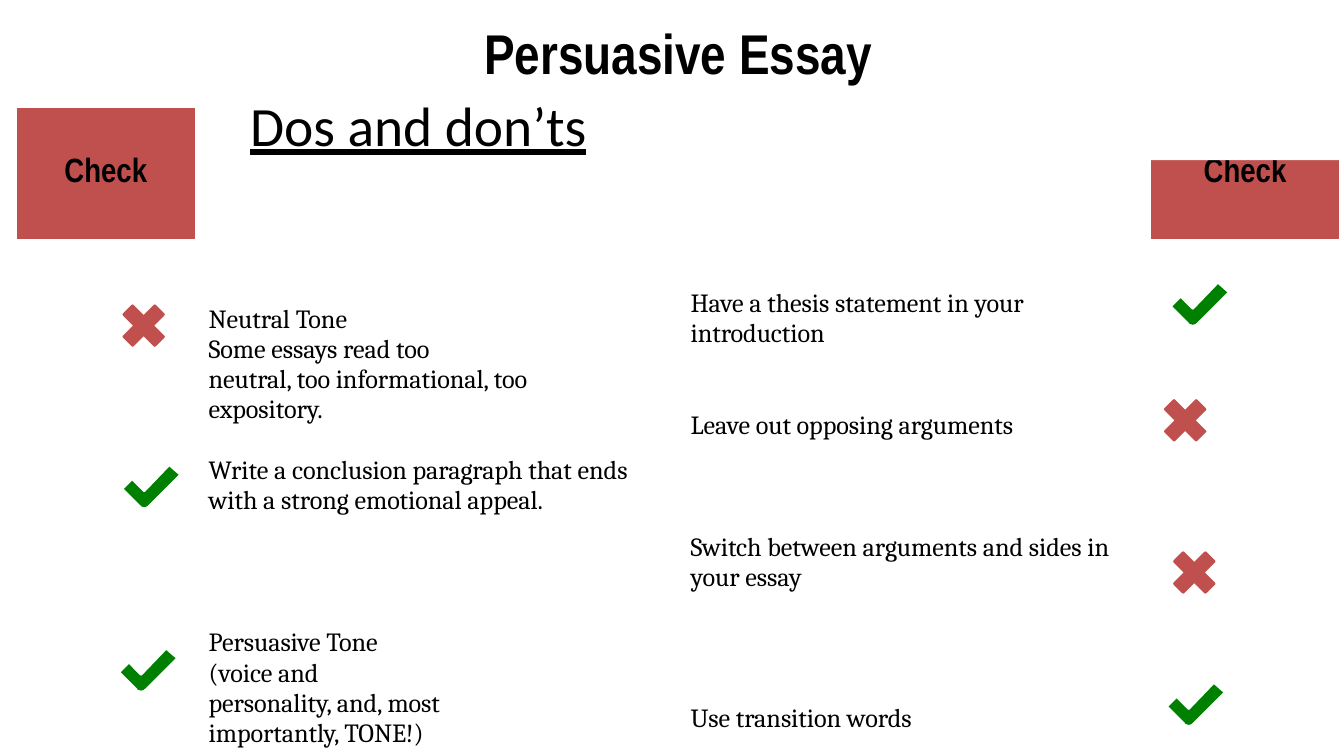
import pptx
import pptx.dml.color
import pptx.enum.text
import pptx.util
import lxml.etree

RED, GREEN, WHITE, BLACK = "C0504D", "008000", "FFFFFF", "000000"
ALIGN = pptx.enum.text.PP_ALIGN
MIDDLE = pptx.enum.text.MSO_ANCHOR.MIDDLE

# Outlines in thousandths of an inch
CHECK = [(450, 0), (210, 250), (200, 253), (190, 250), (80, 140), (0, 220),
         (160, 380), (180, 395), (200, 400), (220, 395), (240, 380), (540, 80)]
CHECK_SHADE = [(510, 60), (190, 370), (180, 383), (160, 390),
               (200, 400), (220, 395), (240, 380), (540, 80)]
CROSS_ARM = [(0, -105), (100, -205), (110, -210), (120, -205),
             (205, -120), (210, -110), (205, -100)]


def cross_outline():
    """Turn one arm around the centre in four quarter turns."""
    arm, outline = CROSS_ARM, []
    for _ in range(4):
        outline += arm
        arm = [(-y, x) for x, y in arm]
    return outline


def color(code):
    return pptx.dml.color.RGBColor.from_string(code)


class EssaySlide:
    """Holds the style and the page; positions are percentages of the page."""

    heading_font, body_font, title_font = "Arial Narrow", "Cambria", "Calibri"
    body_size, line_height = 18.67, 21.9
    cell_margin = 9.36

    def __init__(self, deck):
        self.width, self.height = deck.slide_width, deck.slide_height
        self.page = deck.slides.add_slide(deck.slide_layouts[5])

    def across(self, share):
        return round(self.width * share / 100)

    def down(self, share):
        return round(self.height * share / 100)

    def style(self, para, font, size, bold=False, underline=False):
        for span in para.runs:
            span.font.name = font
            span.font.size = pptx.util.Pt(size)
            span.font.bold = bold
            span.font.underline = underline
            span.font.color.rgb = color(BLACK)

    def title(self, text, left, top, width, height):
        box = self.page.shapes.title
        box.left, box.top = self.across(left), self.down(top)
        box.width, box.height = self.across(width), self.down(height)
        box.fill.solid()
        box.fill.fore_color.rgb = color(WHITE)
        frame = box.text_frame
        frame.text = text
        frame.word_wrap = True
        frame.auto_size = pptx.enum.text.MSO_AUTO_SIZE.NONE
        frame.vertical_anchor = MIDDLE
        para = frame.paragraphs[0]
        para.alignment = ALIGN.LEFT
        para.line_spacing = 0.9
        self.style(para, self.title_font, 39.6, underline=True)

    def table(self, left, top, columns, rows):
        """Add a plain white table behind the title."""
        holder = self.page.shapes.add_table(
            len(rows), len(columns), self.across(left), self.down(top),
            self.across(sum(columns)), self.down(sum(rows)))
        self.page.shapes.title.element.addprevious(holder.element)
        grid = holder.table
        grid.first_row = grid.horz_banding = False
        for column, share in zip(grid.columns, columns):
            column.width = self.across(share)
        for row, share in zip(grid.rows, rows):
            row.height = self.down(share)
        for cell in grid.iter_cells():
            self.fill_cell(cell, WHITE)
        return grid

    def fill_cell(self, cell, code):
        cell.fill.solid()
        cell.fill.fore_color.rgb = color(code)
        cell.vertical_anchor = MIDDLE
        cell.margin_left = cell.margin_right = pptx.util.Pt(self.cell_margin)
        cell.margin_top = cell.margin_bottom = pptx.util.Pt(self.cell_margin)

    def heading(self, cell, text, size, code):
        self.fill_cell(cell, code)
        cell.text_frame.text = text
        para = cell.text_frame.paragraphs[0]
        para.alignment = ALIGN.CENTER
        self.style(para, self.heading_font, size, bold=True)

    def advice(self, cell, lines, above=0, below=0):
        """Fill a cell with (text, gap) pairs; gaps count lines of text."""
        cell.margin_top = pptx.util.Pt(self.cell_margin + above * self.line_height)
        cell.margin_bottom = pptx.util.Pt(self.cell_margin + below * self.line_height)
        cell.text_frame.text = "\n".join(text for text, gap in lines)
        for para, (text, gap) in zip(cell.text_frame.paragraphs, lines):
            if gap:
                para.space_before = pptx.util.Pt(gap * self.line_height)
            self.style(para, self.body_font, self.body_size)

    def outline(self, shapes, points, left, top, code):
        builder = shapes.build_freeform(*points[0], scale=914.4)
        builder.add_line_segments(points[1:], close=True)
        shape = builder.convert_to_shape(self.across(left), self.down(top))
        shape.shadow.inherit = False
        shape.fill.solid()
        shape.fill.fore_color.rgb = color(code)
        shape.line.fill.background()

    def check(self, left, top):
        group = self.page.shapes.add_group_shape()
        for points in (CHECK, CHECK_SHADE):
            self.outline(group.shapes, points, left, top, GREEN)

    def cross(self, center, middle):
        self.outline(self.page.shapes, cross_outline(), center, middle, RED)


def main():
    deck = pptx.Presentation()
    deck.slide_width = pptx.util.Inches(13.33)
    deck.slide_height = pptx.util.Inches(7.5)
    slide = EssaySlide(deck)

    slide.title("Dos and don’ts", 17.85, 12.8, 84.25, 8.4)
    grid = slide.table(1.2, 1.6, [13.35, 35.86, 35.18, 14.1],
                       [12.67, 17.47, 49.2, 28.4])
    grid.cell(0, 0).merge(grid.cell(0, 3))
    slide.heading(grid.cell(0, 0), "Persuasive Essay", 40, WHITE)
    for column in (0, 3):
        slide.heading(grid.cell(1, column), "Check", 24, RED)

    slide.advice(grid.cell(2, 1), [
        ("Neutral Tone", 0),
        ("Some essays read too", 0),
        ("neutral, too informational, too", 0),
        ("expository.", 0),
        ("Write a conclusion paragraph that ends with a strong emotional appeal.", 1),
    ], below=1)
    slide.advice(grid.cell(2, 2), [
        ("Have a thesis statement in your introduction", 0),
        ("Leave out opposing arguments", 2),
        ("Switch between arguments and sides in your essay", 3),
    ], above=1)
    slide.advice(grid.cell(3, 1), [
        ("Persuasive Tone", 0),
        ("(voice and", 0),
        ("personality, and, most", 0),
        ("importantly, TONE!)", 0),
    ], below=2)
    slide.advice(grid.cell(3, 2), [("Use transition words", 0)])

    for left, top in [(9, 86), (86.95, 90.53), (9.23, 61.73), (87.25, 37.6)]:
        slide.check(left, top)
    for center, middle in [(10.69, 43.07), (88.18, 55.6), (88.86, 75.73)]:
        slide.cross(center, middle)

    deck.save("out.pptx")


if __name__ == "__main__":
    main()
